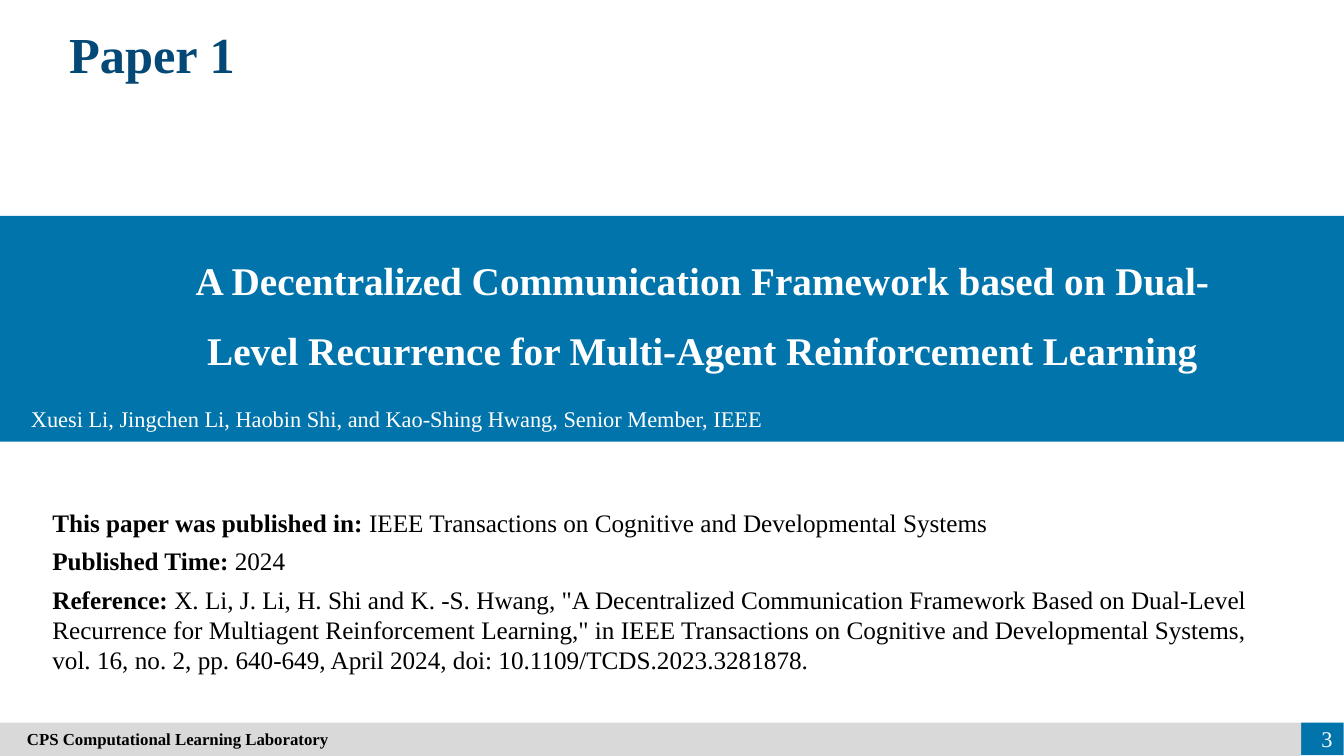
from pptx import Presentation
from pptx.dml.color import RGBColor
from pptx.enum import shapes, text
from pptx.util import Cm, Pt

FONT = "Times New Roman"
BLUE, NAVY, GREY, WHITE, BLACK = "0174AB", "044875", "D9D9D9", "FFFFFF", "000000"

PAPER = ("A Decentralized Communication Framework based on Dual-Level Recurrence "
         "for Multi-Agent Reinforcement Learning")
AUTHORS = "Xuesi Li, Jingchen Li, Haobin Shi, and Kao-Shing Hwang, Senior Member, IEEE"
DETAILS = [
    ("This paper was published in:",
     " IEEE Transactions on Cognitive and Developmental Systems"),
    ("Published Time:", " 2024"),
    ("Reference: ",
     'X. Li, J. Li, H. Shi and K. -S. Hwang, "A Decentralized Communication Framework '
     'Based on Dual-Level Recurrence for Multiagent Reinforcement Learning," in IEEE '
     "Transactions on Cognitive and Developmental Systems, vol. 16, no. 2, pp. 640-649, "
     "April 2024, doi: 10.1109/TCDS.2023.3281878."),
]


def rgb(value):
    return RGBColor.from_string(value)


def style(run, size, color, bold=False):
    run.font.name = FONT
    run.font.size = Pt(size)
    run.font.bold = bold
    run.font.color.rgb = rgb(color)


def write(frame, content, size, color, bold=False, align=text.PP_ALIGN.LEFT,
          anchor=text.MSO_ANCHOR.TOP):
    """Fill a text frame with one styled paragraph and return the paragraph."""
    frame.text = content
    frame.word_wrap = True
    frame.auto_size = text.MSO_AUTO_SIZE.NONE
    frame.vertical_anchor = anchor
    paragraph = frame.paragraphs[0]
    paragraph.alignment = align
    style(paragraph.runs[0], size, color, bold)
    return paragraph


def add_bar(slide, box, color):
    bar = slide.shapes.add_shape(shapes.MSO_SHAPE.RECTANGLE, *map(Cm, box))
    bar.shadow.inherit = False
    bar.fill.solid()
    bar.fill.fore_color.rgb = rgb(color)
    bar.line.fill.background()
    return bar


def add_text(slide, box, content, size, color, **options):
    label = slide.shapes.add_textbox(*map(Cm, box))
    return write(label.text_frame, content, size, color, **options)


def set_title(slide, box, content):
    title = slide.shapes.title
    title.left, title.top, title.width, title.height = map(Cm, box)
    write(title.text_frame, content, 36, NAVY, bold=True, align=text.PP_ALIGN.CENTER)


def add_details(slide, box, details):
    """Add one paragraph per detail, with a bold heading before its value."""
    frame = slide.shapes.add_textbox(*map(Cm, box)).text_frame
    frame.word_wrap = True
    for index, (heading, value) in enumerate(details):
        paragraph = frame.add_paragraph() if index else frame.paragraphs[0]
        paragraph.space_after = Pt(6)
        for part, bold in ((heading, True), (value, False)):
            run = paragraph.add_run()
            run.text = part
            style(run, 18, BLACK, bold)


def add_footer(slide, laboratory, number):
    add_bar(slide, (32.79, 18.21, 1.07, 0.82), BLUE)
    strip = add_bar(slide, (0, 18.21, 32.79, 0.84), GREY)
    strip.text_frame.margin_left = Cm(0.68)
    write(strip.text_frame, laboratory, 12, BLACK, bold=True,
          anchor=text.MSO_ANCHOR.MIDDLE)
    add_text(slide, (32.23, 18.11, 1.6, 1.02), number, 16, WHITE,
             align=text.PP_ALIGN.RIGHT, anchor=text.MSO_ANCHOR.MIDDLE)


def main():
    deck = Presentation()
    deck.slide_width, deck.slide_height = Cm(33.87), Cm(19.05)
    slide = deck.slides.add_slide(deck.slide_layouts[5])

    set_title(slide, (0.97, 0.46, 5.72, 1.8), "Paper 1")
    add_bar(slide, (-0.08, 5.44, 34.01, 5.69), BLUE)
    paper = add_text(slide, (4.01, 5.72, 27.38, 3.84), PAPER, 28, WHITE, bold=True,
                     align=text.PP_ALIGN.CENTER, anchor=text.MSO_ANCHOR.MIDDLE)
    paper.line_spacing = 1.5
    add_text(slide, (0.53, 10.08, 30.02, 0.94), AUTHORS, 16, WHITE)
    add_details(slide, (1.07, 12.65, 31.14, 4.52), DETAILS)
    add_footer(slide, "CPS Computational Learning Laboratory", "3")

    deck.save("out.pptx")


if __name__ == "__main__":
    main()
